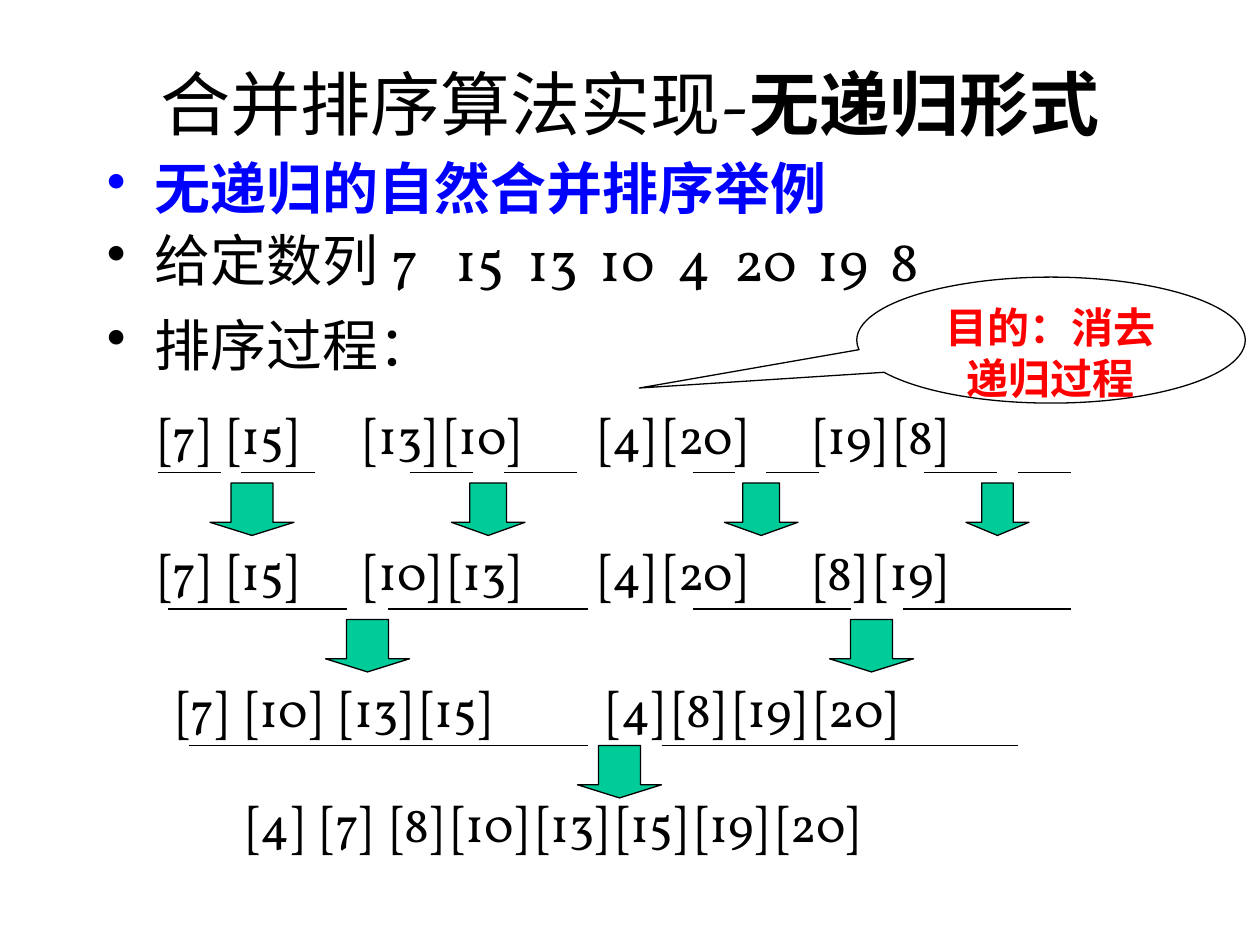
from lxml.etree import SubElement
from pptx import Presentation
from pptx.dml.color import RGBColor
from pptx.enum.shapes import MSO_CONNECTOR as Conn, MSO_SHAPE as Form
from pptx.enum.text import MSO_ANCHOR as Anchor, PP_ALIGN as Align
from pptx.oxml.ns import qn
from pptx.util import Inches, Pt

BLACK = RGBColor(0, 0, 0)
WHITE = RGBColor(255, 255, 255)
BLUE = RGBColor(0, 0, 255)
RED = RGBColor(255, 0, 0)
GREEN = RGBColor(0, 204, 153)
LATIN, HAN = "Vollkorn", "Noto Sans CJK SC"


def unit(n):
    """Length of n grid cells, twelve to the inch."""
    return Inches(n / 12)


class Deck:
    def __init__(self):
        self.prs = Presentation()
        self.prs.slide_width, self.prs.slide_height = unit(120), unit(90)
        self.slide = self.prs.slides.add_slide(self.prs.slide_layouts[6])
        self.shapes = self.slide.shapes

    def style(self, para, size, color=BLACK, bold=False, face=LATIN):
        font = para.font
        font.name, font.size, font.bold = face, Pt(size), bold
        font.color.rgb = color

    def box(self, x, y, w, h):
        frame = self.shapes.add_textbox(*map(unit, (x, y, w, h))).text_frame
        frame.word_wrap = True
        return frame

    def title(self, plain, strong):
        frame = self.box(9, 4.3, 102, 11)
        frame.vertical_anchor = Anchor.MIDDLE
        para = frame.paragraphs[0]
        para.alignment = Align.CENTER
        self.style(para, 40)
        para.add_run().text = plain
        run = para.add_run()
        run.text = strong
        run.font.bold, run.font.name = True, HAN

    def tabs(self, para, stops):
        """Add left tab stops, in inches from the text edge."""
        tabs = SubElement(para._p.get_or_add_pPr(), qn("a:tabLst"))
        for stop in stops:
            SubElement(tabs, qn("a:tab"), pos=str(Inches(stop)), algn="l")

    def bullet(self, para, text, color=BLACK, bold=False, face=LATIN, stops=()):
        para.text = text
        prop = para._p.get_or_add_pPr()
        prop.set("marL", str(Inches(0.38)))
        prop.set("indent", str(Inches(-0.38)))
        SubElement(prop, qn("a:buChar"), char="•")
        if stops:
            self.tabs(para, stops)
        self.style(para, 32, color, bold, face)

    def row(self, y, text, stops):
        para = self.box(14, y, 92, 6.8).paragraphs[0]
        para.text = text
        self.tabs(para, stops)
        self.style(para, 28)

    def rules(self, y, spans):
        for x1, x2 in spans:
            line = self.shapes.add_connector(Conn.STRAIGHT, *map(unit, (x1, y, x2, y)))
            line.line.color.rgb, line.line.width = BLACK, Pt(0.75)
            SubElement(line._element.spPr, qn("a:effectLst"))

    def shape(self, form, x, y, w, h, fill):
        item = self.shapes.add_shape(form, *map(unit, (x, y, w, h)))
        item.shadow.inherit = False
        item.fill.solid()
        item.fill.fore_color.rgb = fill
        item.line.color.rgb, item.line.width = BLACK, Pt(0.75)
        return item

    def arrows(self, y, spots):
        for x, w in spots:
            arrow = self.shape(Form.DOWN_ARROW, x, y, w, 5, GREEN)
            arrow.adjustments[0], arrow.adjustments[1] = 0.5, 0.25

    def callout(self, text):
        item = self.shape(Form.OVAL_CALLOUT, 81.6, 26.4, 37, 12, WHITE)
        item.adjustments[0], item.adjustments[1] = -1.06, 0.38
        frame = item.text_frame
        frame.word_wrap, frame.vertical_anchor = True, Anchor.TOP
        para = frame.paragraphs[0]
        para.text, para.alignment = text, Align.CENTER
        self.style(para, 24, RED, True)


def main():
    deck = Deck()
    deck.title("合并排序算法实现-", "无递归形式")

    body = deck.box(9, 14.8, 102, 14.2)
    head, data = body.paragraphs[0], body.add_paragraph()
    deck.bullet(head, "无递归的自然合并排序举例", BLUE, True, HAN)
    deck.bullet(data, "给定数列 7\t15\t13\t10\t4\t20\t19\t8",
                stops=(2.77, 3.34, 3.91, 4.53, 4.98, 5.64, 6.22))
    head.line_spacing = data.line_spacing = 0.9
    data.space_before = Pt(6.4)
    steps = deck.box(9, 29, 92, 7)
    deck.bullet(steps.paragraphs[0], "排序过程：")

    pairs = (0.55, 1.63, 3.49, 5.2)
    deck.row(38, "[7]\t[15]\t[13] [10]\t[4] [20]\t[19] [8]", pairs)
    deck.row(51, "[7]\t[15]\t[10] [13]\t[4] [20]\t[8] [19]", pairs)
    deck.row(64, "\t[7]\t[10]\t[13] [15]\t[4] [8] [19] [20]", (0.14, 0.69, 1.44, 3.56))
    deck.row(75, "\t[4]\t[7]\t[8] [10] [13] [15] [19] [20]", (0.7, 1.29, 1.84))

    deck.rules(45, ((15, 21), (23, 30), (39, 45), (48, 55),
                    (66, 70), (73, 78), (88, 95), (97, 102)))
    deck.rules(58, ((16, 33), (37, 56), (66, 81), (86, 102)))
    deck.rules(71, ((18, 56), (63, 97)))
    deck.arrows(46, ((20, 8), (43, 7), (69, 7), (92, 6)))
    deck.arrows(59, ((31, 8), (79, 8)))
    deck.arrows(71, ((55, 8),))
    deck.callout("目的：消去递归过程")
    deck.prs.save("out.pptx")


if __name__ == "__main__":
    main()
